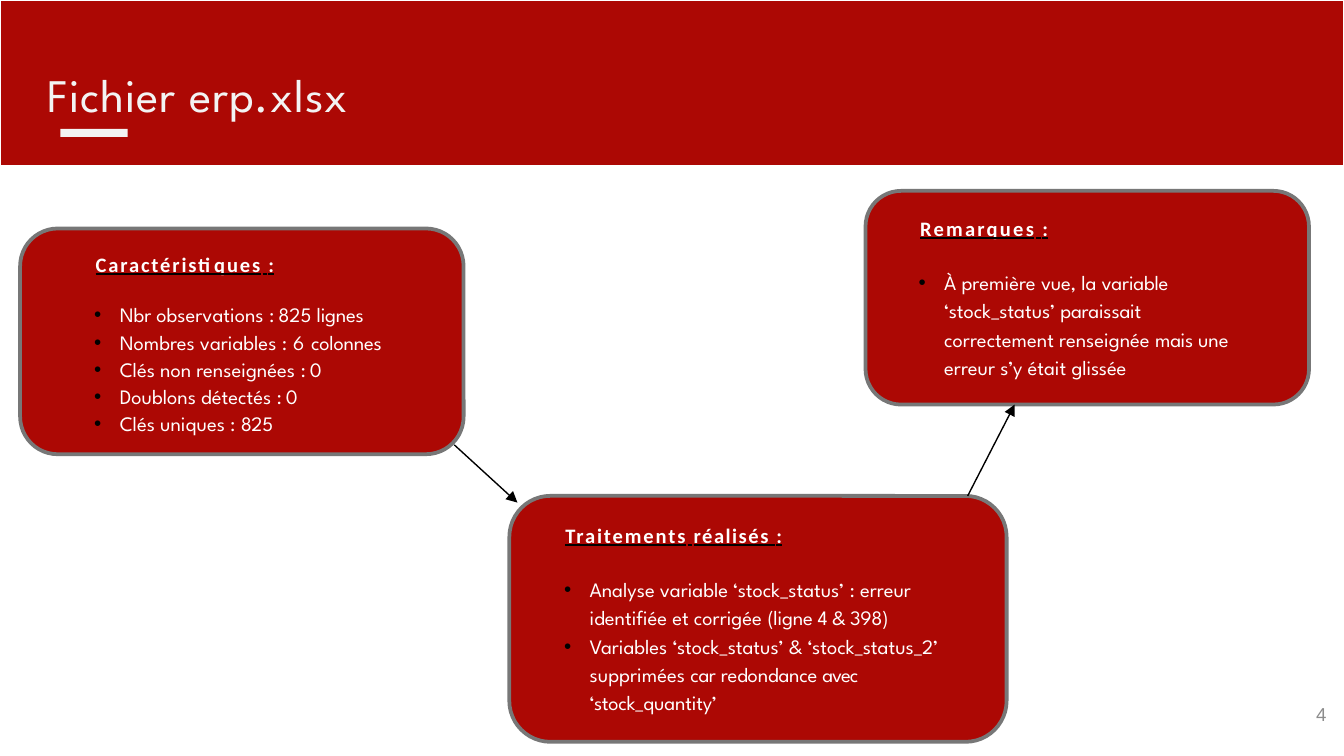
from lxml import etree
from pptx import Presentation
from pptx.dml.color import RGBColor
from pptx.enum.shapes import MSO_CONNECTOR as Connector, MSO_SHAPE as Shape
from pptx.enum.text import MSO_ANCHOR as Anchor, PP_ALIGN as Align
from pptx.oxml.ns import qn
from pptx.util import Inches, Pt

RED = RGBColor(0xAC, 0x08, 0x04)
WHITE = RGBColor(0xFF, 0xFF, 0xFF)
OFF_WHITE = RGBColor(0xF3, 0xF3, 0xF3)
BORDER_GRAY = RGBColor(0x77, 0x77, 0x77)
NUMBER_GRAY = RGBColor(0x8C, 0x8C, 0x8C)
BLACK = RGBColor(0, 0, 0)
BODY_FONT = "League Spartan"

# Each paragraph is a list of (text, letter spacing in points).
FEATURES_HEADING = [("Caractéristiques", 1), (" ", 0.6), (":", -0.5)]
FEATURES = [
    [("Nbr observations ", 0), (": ", -0.6), ("825 ", 0), ("lignes", -0.1)],
    [("Nombres variables ", 0), (":", -0.6), (" 6 ", 0.4), ("colonnes", -0.1)],
    [("Clés non renseignées ", 0), (": ", -0.6), ("0", 0.3)],
    [("Doublons détectés ", 0), (": ", -0.6), ("0", 0.3)],
    [("Clés uniques : ", 0), ("825", -0.2)],
]
TREATMENTS_HEADING = [("Traitements", 1), (" ", 0.7), ("réalisés ", 0.8), (":", -0.5)]
TREATMENTS = [
    [("Analyse variable ‘stock_status’ ", 0), (":", -0.5),
     (" erreur identifiée et corrigée ", 0), ("(ligne ", -0.1), ("4 & 398)", -0.2)],
    [("Variables ‘stock_status’ ", 0), ("&", -0.5),
     (" ‘stock_status_2’ supprimées ", 0), ("car", -0.2), (" redondance ", -0.1),
     ("avec ", -0.6), ("‘stock_quantity’", -0.1)],
]
REMARKS_HEADING = [("Remarques", 1.2), (" ", 0.7), (":", -0.5)]
REMARKS = [
    [("À première ", 0), ("vue, ", -0.1), ("la ", 0), ("variable ", -0.1),
     ("‘stock_status’ ", 0), ("paraissait ", -0.1), ("correctement renseignée ", 0),
     ("mais ", -0.2), ("une erreur s’y était ", 0), ("glissée", -0.1)],
]


def add_solid_color(parent, tag, color):
    """Append an element holding a colour, wrapped in a solid fill for underlines."""
    element = etree.SubElement(parent, qn(tag))
    if tag == "a:uFill":
        element = etree.SubElement(element, qn("a:solidFill"))
    etree.SubElement(element, qn("a:srgbClr"), val=str(color))


def add_span(para, text, font_name, size, color, spacing=0, heading=False):
    span = para.add_run()
    span.text = text
    font = span.font
    font.size = Pt(size)
    font.color.rgb = color
    properties = span._r.get_or_add_rPr()
    properties.set("spc", str(round(spacing * 100)))
    if heading:
        font.bold = True
        font.underline = True
        add_solid_color(properties, "a:uFill", BLACK)
    font.name = font_name


def set_indent(para, left, first=0):
    properties = para._p.get_or_add_pPr()
    properties.set("marL", str(Inches(left)))
    properties.set("indent", str(Inches(first)))
    return properties


def add_bullet(para):
    properties = set_indent(para, 0.41, -0.19)
    add_solid_color(properties, "a:buClr", BLACK)
    etree.SubElement(properties, qn("a:buFont"), typeface="Arial")
    etree.SubElement(properties, qn("a:buChar"), char="•")


def set_frame(frame, anchor, margins):
    frame.word_wrap = True
    frame.vertical_anchor = anchor
    frame.margin_left, frame.margin_top, frame.margin_right, frame.margin_bottom = (
        Inches(margin) for margin in margins)


def add_block(slide, kind, area, fill, line=None, width=0):
    block = slide.shapes.add_shape(kind, *(Inches(length) for length in area))
    block.shadow.inherit = False
    block.fill.solid()
    block.fill.fore_color.rgb = fill
    if line is None:
        block.line.fill.background()
    else:
        block.line.color.rgb = line
        block.line.width = Pt(width)
    return block


def add_card(slide, area, heading, items, line_spacing=1.15, item_gap=0,
             anchor=Anchor.MIDDLE, margins=(0.1, 0.05, 0.1, 0.05)):
    """Rounded card with an underlined heading and a bullet list."""
    card = add_block(slide, Shape.ROUNDED_RECTANGLE, area, RED, BORDER_GRAY, 2)
    frame = card.text_frame
    set_frame(frame, anchor, margins)
    para = frame.paragraphs[0]
    para.alignment = Align.LEFT
    set_indent(para, 0.23)
    for text, spacing in heading:
        add_span(para, text, "Calibri", 11, WHITE, spacing, heading=True)
    for index, item in enumerate(items):
        para = frame.add_paragraph()
        para.alignment = Align.LEFT
        para.line_spacing = line_spacing
        para.space_before = Pt(item_gap if index else 14)
        add_bullet(para)
        for text, spacing in item:
            add_span(para, text, BODY_FONT, 11, WHITE, spacing)


def add_arrow(slide, start, end):
    points = (Inches(length) for length in start + end)
    arrow = slide.shapes.add_connector(Connector.STRAIGHT, *points)
    arrow.line.color.rgb = BLACK
    arrow.line.width = Pt(0.75)
    etree.SubElement(arrow.line._get_or_add_ln(), qn("a:tailEnd"), type="triangle")
    etree.SubElement(arrow._element.spPr, qn("a:effectLst"))


def add_title(slide, text):
    title = slide.shapes.title
    title.left, title.top = Inches(0.34), Inches(0.49)
    title.width, title.height = Inches(9.32), Inches(0.45)
    set_frame(title.text_frame, Anchor.TOP, (0, 0, 0, 0))
    para = title.text_frame.paragraphs[0]
    para.alignment = Align.LEFT
    set_indent(para, 0.01)
    add_span(para, text, BODY_FONT, 25, OFF_WHITE, 0.5)


def add_page_number(slide, number):
    box = slide.shapes.add_textbox(Inches(9.27), Inches(5.1), Inches(0.6), Inches(0.43))
    set_frame(box.text_frame, Anchor.MIDDLE, (0, 0, 0, 0))
    para = box.text_frame.paragraphs[0]
    para.alignment = Align.RIGHT
    add_span(para, number, "Arial", 10, NUMBER_GRAY)


def main():
    deck = Presentation()
    deck.slide_width = Inches(10)
    deck.slide_height = deck.slide_width * 9 // 16
    slide = deck.slides.add_slide(deck.slide_layouts[5])

    band = add_block(slide, Shape.RECTANGLE, (0, 0, 10, 1.23), RED, WHITE, 0.75)
    slide.shapes.title._element.addprevious(band._element)
    add_title(slide, "Fichier erp.xlsx")
    add_block(slide, Shape.RECTANGLE, (0.45, 0.96, 0.5, 0.06), OFF_WHITE)
    add_page_number(slide, "4")

    add_card(slide, (0.15, 1.7, 3.3, 1.68), FEATURES_HEADING, FEATURES, 1, 1.4,
             Anchor.TOP, (0.25, 0.09, 0.1, 0.05))
    add_card(slide, (3.79, 3.69, 3.7, 1.83), TREATMENTS_HEADING, TREATMENTS)
    add_card(slide, (6.44, 1.42, 3.3, 1.59), REMARKS_HEADING, REMARKS,
             margins=(0.1, 0.05, 0.4, 0.05))
    add_arrow(slide, (3.38, 3.31), (3.85, 3.74))
    add_arrow(slide, (7.2, 3.69), (7.55, 3.01))

    deck.save("out.pptx")


if __name__ == "__main__":
    main()
